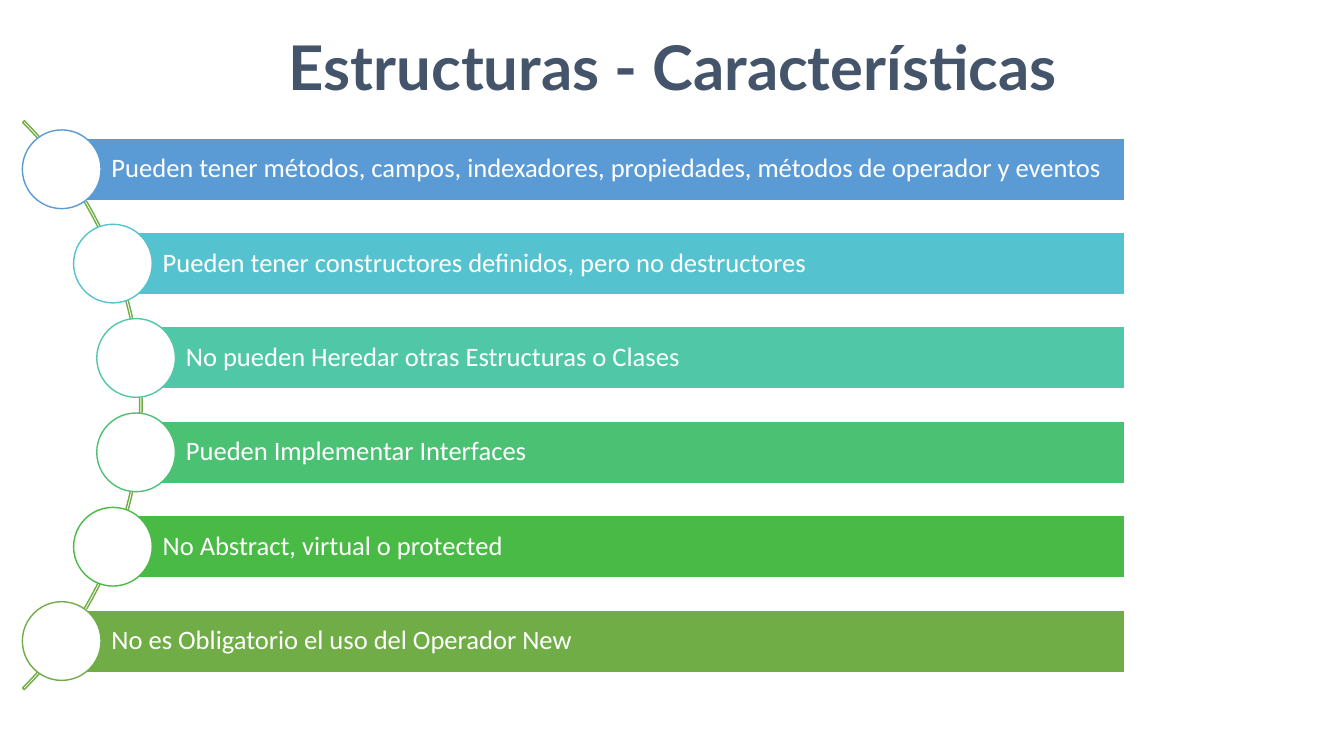
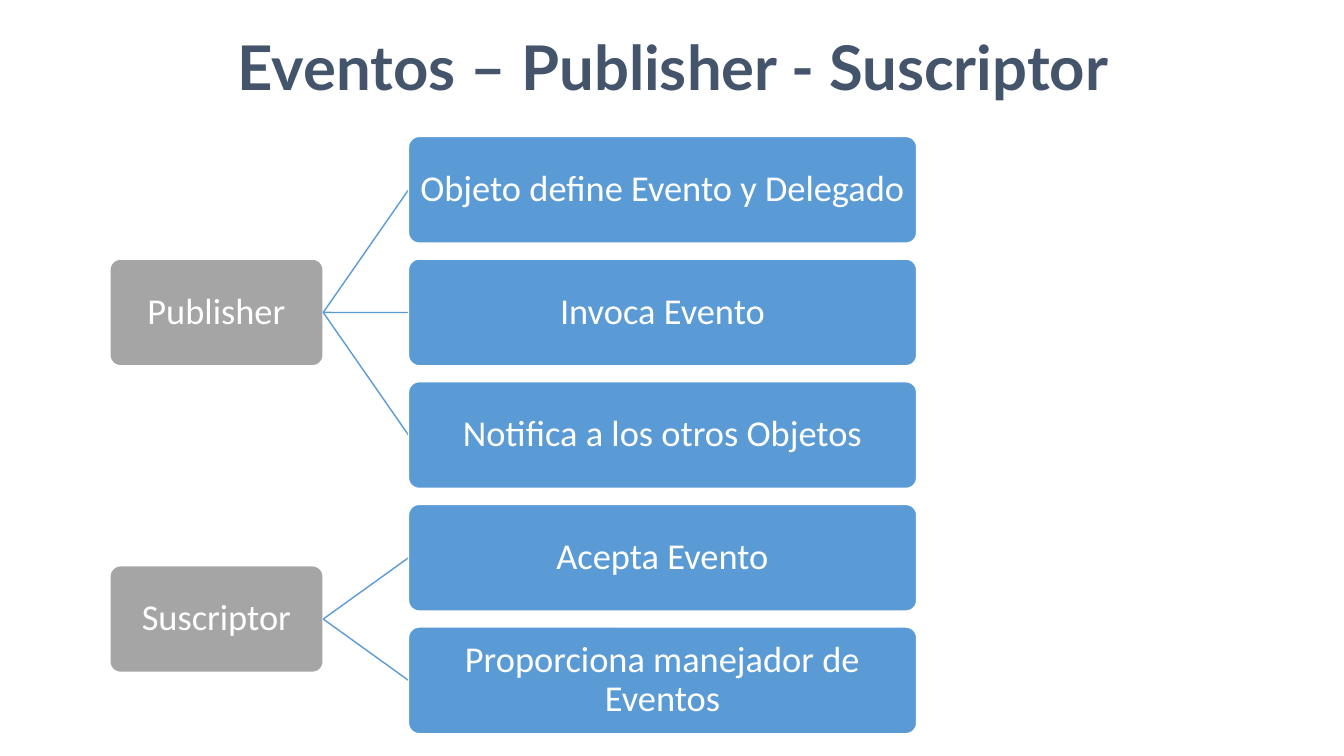
from math import sqrt
from lxml import etree
from pptx import Presentation
from pptx.dml.color import RGBColor
from pptx.enum.shapes import MSO_CONNECTOR, MSO_SHAPE
from pptx.enum.text import MSO_ANCHOR, PP_ALIGN
from pptx.oxml.ns import qn
from pptx.util import Pt

RECT, ROUND = MSO_SHAPE.RECTANGLE, MSO_SHAPE.ROUNDED_RECTANGLE
OVAL, ARC = MSO_SHAPE.OVAL, MSO_SHAPE.BLOCK_ARC
LEFT, CENTER = PP_ALIGN.LEFT, PP_ALIGN.CENTER
TOP, MIDDLE = MSO_ANCHOR.TOP, MSO_ANCHOR.MIDDLE
STRAIGHT = MSO_CONNECTOR.STRAIGHT

COLORS = {"title": "44546A", "white": "FFFFFF", "blue": "5B9BD5", "cyan": "55C3CF",
          "teal": "50C8A7", "mint": "4BC174", "green": "4ABA46", "olive": "70AD47",
          "gray": "A5A5A5"}
FORMATS = {
    "title": {"font": {"name": "Lato", "size": Pt(44), "bold": True}, "color": "title",
              "align": CENTER, "spacing": 1.0, "anchor": TOP, "margins": (3.6, 1.8, 3.6, 1.8)},
    "feature": {"font": {"name": "Calibri", "size": Pt(19)}, "color": "white",
                "align": LEFT, "spacing": 0.9, "anchor": MIDDLE, "margins": (35.6, 3.6, 3.6, 3.6)},
    "node": {"font": {"name": "Calibri", "size": Pt(26)}, "color": "white",
             "align": CENTER, "spacing": 0.9, "anchor": MIDDLE, "margins": (3.8, 3.8, 3.8, 3.8)},
}
FEATURES_TITLE = "Estructuras - Características"
FEATURES = [
    ("Pueden tener métodos, campos, indexadores, propiedades, métodos de operador y eventos", "blue"),
    ("Pueden tener constructores definidos, pero no destructores", "cyan"),
    ("No pueden Heredar otras Estructuras o Clases", "teal"),
    ("Pueden Implementar Interfaces", "mint"),
    ("No Abstract, virtual o protected", "green"),
    ("No es Obligatorio el uso del Operador New", "olive"),
]
EVENTS_TITLE = "Eventos – Publisher - Suscriptor"
ROLES = [
    ("Publisher", ["Objeto define Evento y Delegado", "Invoca Evento",
                   "Notifica a los otros Objetos"]),
    ("Suscriptor", ["Acepta Evento", "Proporciona manejador de Eventos"]),
]


def rgb(name):
    return RGBColor.from_string(COLORS[name])


def write(sp, text, style):
    fmt = FORMATS[style]
    tf = sp.text_frame
    tf.word_wrap = True
    tf.vertical_anchor = fmt["anchor"]
    for side, margin in zip(("left", "top", "right", "bottom"), fmt["margins"]):
        setattr(tf, "margin_" + side, Pt(margin))
    p = tf.paragraphs[0]
    p.alignment, p.line_spacing = fmt["align"], fmt["spacing"]
    r = p.add_run()
    r.text = text
    for key, value in fmt["font"].items():
        setattr(r.font, key, value)
    r.font.color.rgb = rgb(fmt["color"])


def add_shape(s, kind, box, fill, line, adjustments=()):
    sp = s.shapes.add_shape(kind, *map(Pt, box))
    sp.shadow.inherit = False
    for i, value in enumerate(adjustments):
        sp.adjustments[i] = value
    if fill:
        sp.fill.solid()
        sp.fill.fore_color.rgb = rgb(fill)
    else:
        sp.fill.background()
    sp.line.color.rgb = rgb(line)
    sp.line.width = Pt(1)
    return sp


def add_link(s, x1, y1, x2, y2):
    cx = s.shapes.add_connector(STRAIGHT, *map(Pt, (x1, y1, x2, y2)))
    cx.line.color.rgb = rgb("blue")
    cx.line.width = Pt(1)
    etree.SubElement(cx._element.spPr, qn("a:effectLst"))


def add_slide(prs, title):
    s = prs.slides.add_slide(prs.slide_layouts[6])
    write(s.shapes.add_textbox(Pt(9.4), Pt(18.7), Pt(943), Pt(56.9)), title, "title")
    return s


def add_node(s, text, x, mid, width, fill):
    box = (x, mid - NODE_H / 2, width, NODE_H)
    write(add_shape(s, ROUND, box, fill, "white", [0.1]), text, "node")


prs = Presentation()
prs.slide_width, prs.slide_height = Pt(960), Pt(540)

ARC_X, ARC_Y, ARC_SIZE, RADIUS = -185.8, 289.4, 574.6, 285
BAR_RIGHT, BAR_H, BAR_PITCH, DOT = 803.5, 44.6, 67.4, 56.2
s = add_slide(prs, FEATURES_TITLE)
add_shape(s, ARC, (ARC_X - ARC_SIZE / 2, ARC_Y - ARC_SIZE / 2, ARC_SIZE, ARC_SIZE),
          None, "olive", [189, 27, 0.003])
for i, (text, color) in enumerate(FEATURES):
    dy = (i - (len(FEATURES) - 1) / 2) * BAR_PITCH
    x, mid = ARC_X + sqrt(RADIUS ** 2 - dy ** 2), ARC_Y + dy
    bar = add_shape(s, RECT, (x, mid - BAR_H / 2, BAR_RIGHT - x, BAR_H), color, "white")
    write(bar, text, "feature")
    add_shape(s, OVAL, (x - DOT / 2, mid - DOT / 2, DOT, DOT), "white", color)

ROLE_X, ROLE_W, TASK_X, TASK_W = 78.5, 152.4, 291.8, 363
NODE_H, NODE_PITCH, FIRST_MID = 76.2, 87.6, 135.6
s = add_slide(prs, EVENTS_TITLE)
row = 0
for role, tasks in ROLES:
    mids = [FIRST_MID + (row + i) * NODE_PITCH for i in range(len(tasks))]
    role_mid = sum(mids) / len(mids)
    add_node(s, role, ROLE_X, role_mid, ROLE_W, "gray")
    for task, mid in zip(tasks, mids):
        add_link(s, ROLE_X + ROLE_W, role_mid, TASK_X, mid)
        add_node(s, task, TASK_X, mid, TASK_W, "blue")
    row += len(tasks)

prs.save("out.pptx")
